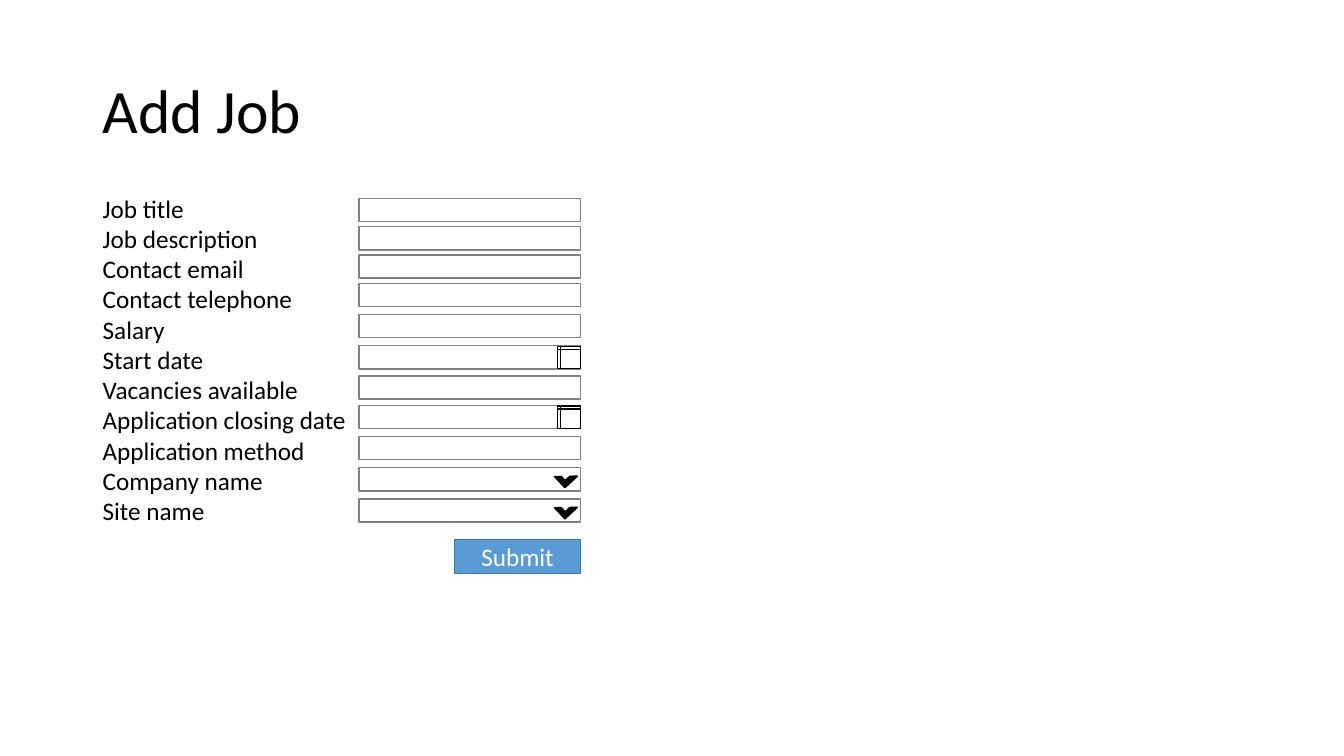
"""Build the Add Job form slide."""
from pptx import Presentation
from pptx.dml.color import RGBColor
from pptx.enum.shapes import MSO_SHAPE
from pptx.enum.text import MSO_ANCHOR, PP_ALIGN
from pptx.util import Inches, Pt

THEME = {
    "font": "Calibri",
    "title": 44,
    "body": 18,
    "black": "000000",
    "white": "FFFFFF",
    "border": "808080",
    "button": "5B9BD5",
    "button_line": "43739E",
}

prs = Presentation()
prs.slide_width, prs.slide_height = Inches(13.33), Inches(7.5)
s = prs.slides.add_slide(prs.slide_layouts[6])


def add_box(kind, left, top, width, height, fill, line=None):
    """Add a preset shape placed in percent of the slide's size."""
    x, y = prs.slide_width / 100, prs.slide_height / 100
    sp = s.shapes.add_shape(kind, int(left * x), int(top * y), int(width * x), int(height * y))
    sp.shadow.inherit = False
    sp.fill.solid()
    sp.fill.fore_color.rgb = RGBColor.from_string(THEME[fill])
    if line:
        sp.line.color.rgb = RGBColor.from_string(THEME[line])
        sp.line.width = Pt(1)
    else:
        sp.line.fill.background()
    return sp


def add_text(sp, lines, size, color, align=PP_ALIGN.LEFT, spacing=1.0):
    """Write one paragraph per line into a shape."""
    tf = sp.text_frame
    tf.word_wrap = False
    tf.vertical_anchor = MSO_ANCHOR.MIDDLE
    for i, text in enumerate(lines):
        p = tf.add_paragraph() if i else tf.paragraphs[0]
        p.alignment = align
        p.line_spacing = spacing
        r = p.add_run()
        r.text = text
        r.font.name = THEME["font"]
        r.font.size = Pt(THEME[size])
        r.font.color.rgb = RGBColor.from_string(THEME[color])


MARGIN = 6.9
FIELD_LEFT, FIELD_WIDTH, FIELD_HEIGHT = 26.7, 16.5, 3.07
FIELD_RIGHT = FIELD_LEFT + FIELD_WIDTH
FIELDS = [
    ("Job title", 26.27, "text"),
    ("Job description", 30, "text"),
    ("Contact email", 33.73, "text"),
    ("Contact telephone", 37.47, "text"),
    ("Salary", 41.6, "text"),
    ("Start date", 45.73, "date"),
    ("Vacancies available", 49.73, "text"),
    ("Application closing date", 53.6, "date"),
    ("Application method", 57.73, "text"),
    ("Company name", 61.87, "list"),
    ("Site name", 66, "list"),
]

title = add_box(MSO_SHAPE.RECTANGLE, MARGIN, 5.33, 86.25, 19.33, "white")
add_text(title, ["Add Job"], "title", "black", spacing=0.9)

labels = add_box(MSO_SHAPE.RECTANGLE, MARGIN, 24.67, 19.65, 45.73, "white")
add_text(labels, [name for name, top, kind in FIELDS], "body", "black")

for name, top, kind in FIELDS:
    add_box(MSO_SHAPE.RECTANGLE, FIELD_LEFT, top, FIELD_WIDTH, FIELD_HEIGHT, "white", "border")
    if kind == "date":
        add_box(MSO_SHAPE.FLOWCHART_INTERNAL_STORAGE, FIELD_RIGHT - 1.73, top + 0.13,
                1.73, 2.93, "white", "black")
    elif kind == "list":
        arrow = add_box(MSO_SHAPE.HALF_FRAME, FIELD_RIGHT - 1.65, top, 1.13, 2.27,
                        "black", "black")
        arrow.rotation = 227.3

submit = add_box(MSO_SHAPE.RECTANGLE, FIELD_RIGHT - 9.38, 71.33, 9.38, 4.53,
                 "button", "button_line")
add_text(submit, ["Submit"], "body", "white", PP_ALIGN.CENTER)

prs.save("out.pptx")
